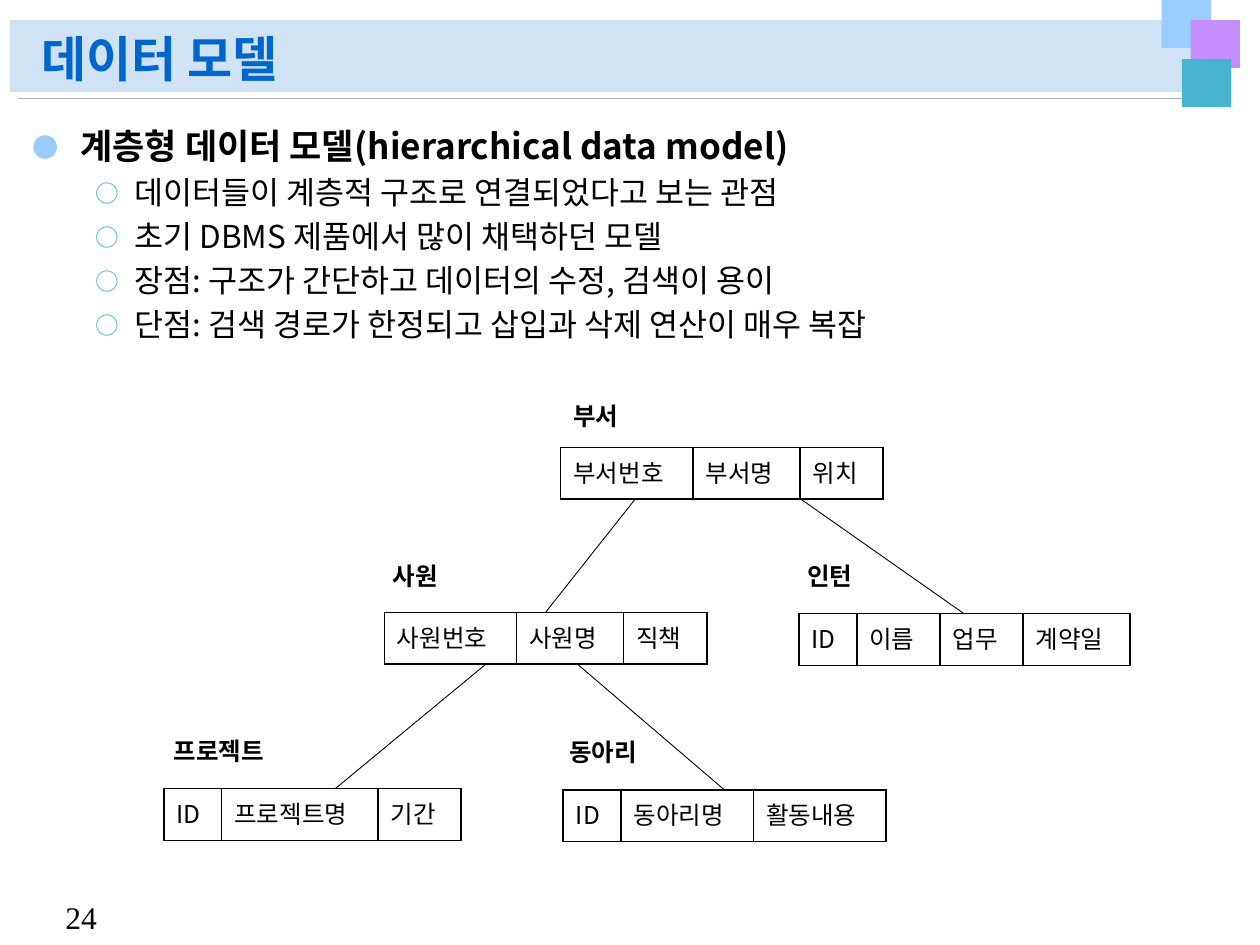
"""Build the slide on the hierarchical data model."""
from lxml.etree import SubElement
from pptx import Presentation
from pptx.dml.color import RGBColor
from pptx.enum.shapes import MSO_CONNECTOR, MSO_SHAPE
from pptx.enum.text import MSO_ANCHOR
from pptx.oxml import parse_xml
from pptx.oxml.ns import nsdecls, qn
from pptx.util import Inches, Pt

SANS = "Noto Sans CJK KR"


def paint(part, tone):
    if hasattr(part, "solid"):
        part.solid()
        part.fore_color.rgb = RGBColor.from_string(tone)
    else:
        part.rgb = RGBColor.from_string(tone)


def style(para, size, bold=False, tone="000000", face=SANS):
    for run in para.runs:
        run.font.size = Pt(size)
        run.font.bold = bold
        paint(run.font.color, tone)
        run.font.name = face
        SubElement(run.font._element, qn("a:ea"), typeface=face)


deck = Presentation()
deck.slide_width, deck.slide_height = Inches(10), Inches(7.5)
slide = deck.slides.add_slide(deck.slide_layouts[6])
shapes = slide.shapes

blocks = [
    (0.08, 0.16, 9.69, 0.57, "D0E3F5"),
    (9.22, 0, 0.39, 0.38, "99CCFF"),
    (9.45, 0.16, 0.39, 0.38, "C68DFF"),
    (9.38, 0.47, 0.39, 0.38, "47B5CF"),
]
lines = [
    (9.74, 0.78, 0.14, 0.78, "B2B2B2"),
    (5.05, 3.95, 4.33, 4.86, "000000"),
    (6.34, 3.95, 7.65, 4.87, "000000"),
    (3.87, 5.26, 2.66, 6.26, "000000"),
    (4.57, 5.26, 5.75, 6.27, "000000"),
]
for x1, y1, x2, y2, tone in lines:
    line = shapes.add_connector(MSO_CONNECTOR.STRAIGHT, Inches(x1), Inches(y1), Inches(x2), Inches(y2))
    paint(line.line.fill, tone)
    line.line.width = Pt(0.5)
    SubElement(line._element.spPr, qn("a:effectLst"))

for left, top, width, height, tone in blocks:
    block = shapes.add_shape(MSO_SHAPE.RECTANGLE, Inches(left), Inches(top), Inches(width), Inches(height))
    block.shadow.inherit = False
    paint(block.fill, tone)
    block.line.fill.background()

title = shapes.add_textbox(Inches(0.23), Inches(0.17), Inches(8.98), Inches(0.58))
frame = title.text_frame
frame.word_wrap = True
frame.vertical_anchor = MSO_ANCHOR.BOTTOM
frame.text = "데이터 모델"
frame.paragraphs[0].line_spacing = 0.9
style(frame.paragraphs[0], 28, True, "0066CC")

points = [
    "계층형 데이터 모델(hierarchical data model)",
    "데이터들이 계층적 구조로 연결되었다고 보는 관점",
    "초기 DBMS 제품에서 많이 채택하던 모델",
    "장점: 구조가 간단하고 데이터의 수정, 검색이 용이",
    "단점: 검색 경로가 한정되고 삽입과 삭제 연산이 매우 복잡",
]
body = shapes.add_textbox(Inches(0.16), Inches(0.94), Inches(9.61), Inches(6.02))
frame = body.text_frame
frame.word_wrap = True
frame.text = "\n".join(points)
for rank, para in enumerate(frame.paragraphs):
    head = rank == 0
    indent, hang, mark, tone, size = (0.38, 0.38, "●", "99CCFF", 20) if head else (0.81, 0.31, "○", "47B5CF", 18)
    para.level = 0 if head else 1
    style(para, size, head)
    props = para._p.get_or_add_pPr()
    props.set("marL", str(Inches(indent)))
    props.set("indent", str(-Inches(hang)))
    space = SubElement(props, qn("a:spcBef"))
    SubElement(space, qn("a:spcPct"), val="20000")
    color = SubElement(props, qn("a:buClr"))
    SubElement(color, qn("a:srgbClr"), val=tone)
    SubElement(props, qn("a:buSzPct"), val="75000")
    SubElement(props, qn("a:buFont"), typeface=SANS)
    SubElement(props, qn("a:buChar"), char=mark)

wide = {"ID": 0.46, 2: 0.66, 3: 0.85, 4: 1.05, 5: 1.24}
tables = [
    (4.45, 3.55, ["부서번호", "부서명", "위치"]),
    (3.05, 4.86, ["사원번호", "사원명", "직책"]),
    (6.34, 4.87, ["ID", "이름", "업무", "계약일"]),
    (1.3, 6.26, ["ID", "프로젝트명", "기간"]),
    (4.47, 6.27, ["ID", "동아리명", "활동내용"]),
]
for left, top, names in tables:
    widths = [wide["ID"] if name == "ID" else wide[len(name)] for name in names]
    holder = shapes.add_table(1, len(names), Inches(left), Inches(top), Inches(sum(widths)), Inches(0.41))
    table = holder.table
    table.first_row = table.horz_banding = False
    for spot, (name, width) in enumerate(zip(names, widths)):
        table.columns[spot].width = Inches(width)
        cell = table.cell(0, spot)
        cell.text_frame.text = name
        style(cell.text_frame.paragraphs[0], 14)
        props = cell._tc.get_or_add_tcPr()
        for side in "LRTB":
            props.append(parse_xml(
                f'<a:ln{side} {nsdecls("a")} w="{Pt(1)}"><a:solidFill>'
                f'<a:srgbClr val="000000"/></a:solidFill></a:ln{side}>'))
        paint(cell.fill, "FFFFFF")

labels = [
    (4.45, 3.13, 0.6, "부서"),
    (3.02, 4.4, 0.6, "사원"),
    (6.31, 4.4, 0.59, "인턴"),
    (1.28, 5.79, 0.99, "프로젝트"),
    (4.42, 5.8, 0.79, "동아리"),
]
for left, top, width, name in labels:
    label = shapes.add_textbox(Inches(left), Inches(top), Inches(width), Inches(0.34))
    label.text_frame.word_wrap = False
    label.text_frame.text = name
    style(label.text_frame.paragraphs[0], 14, True)

page = shapes.add_textbox(Inches(0.42), Inches(7.08), Inches(0.5), Inches(0.4))
page.text_frame.word_wrap = False
page.text_frame.text = "24"
style(page.text_frame.paragraphs[0], 18, face="Times New Roman")

deck.save("out.pptx")
